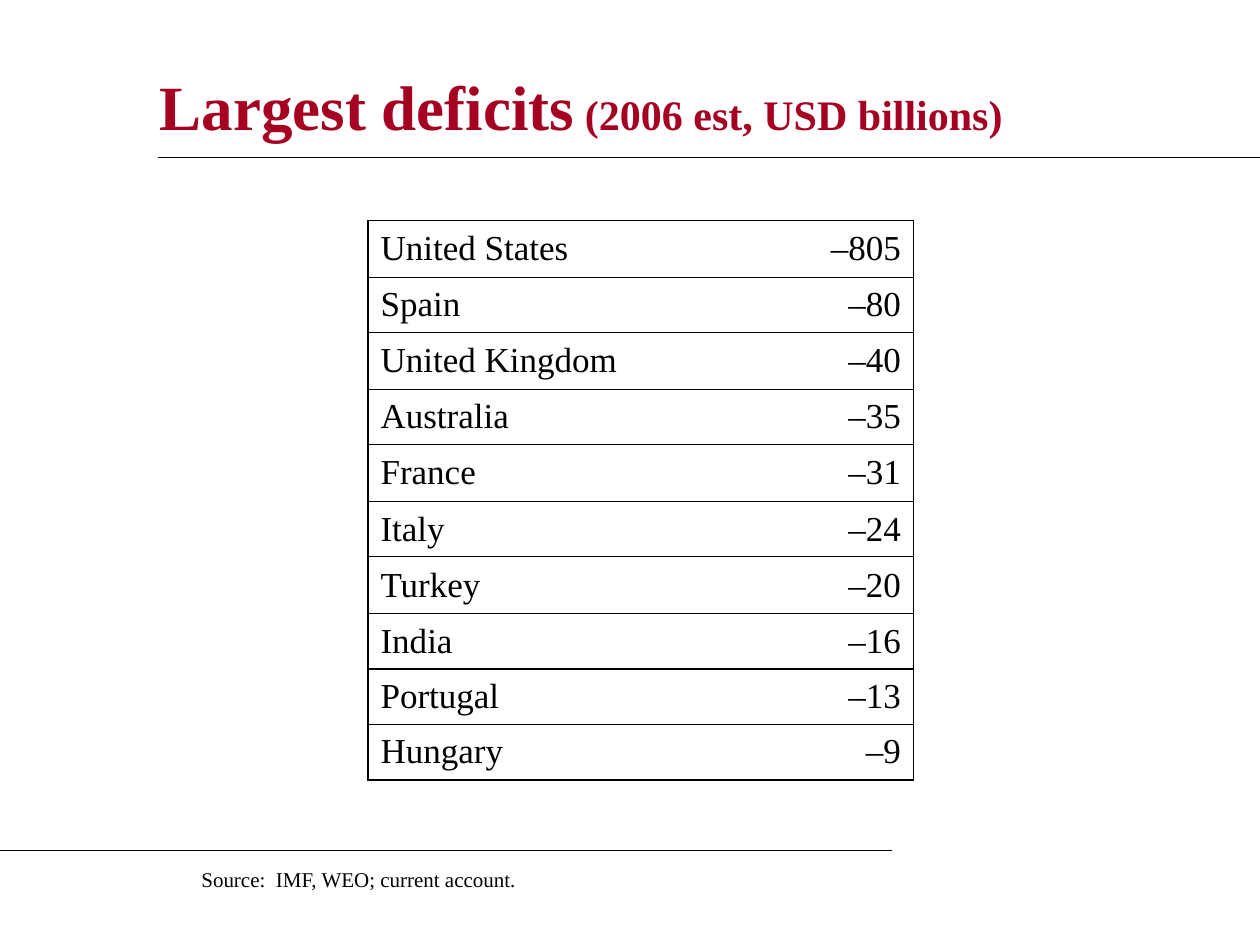
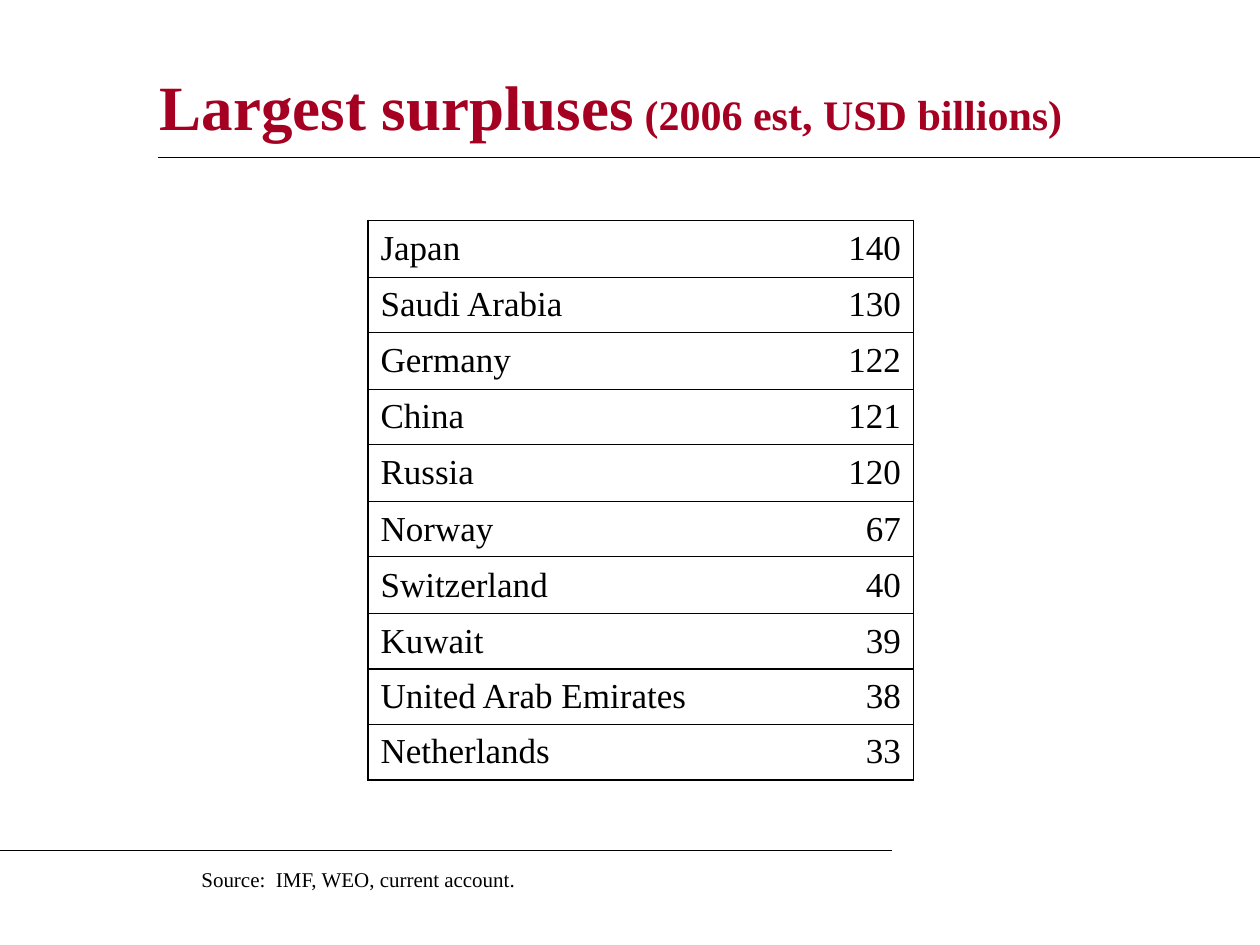
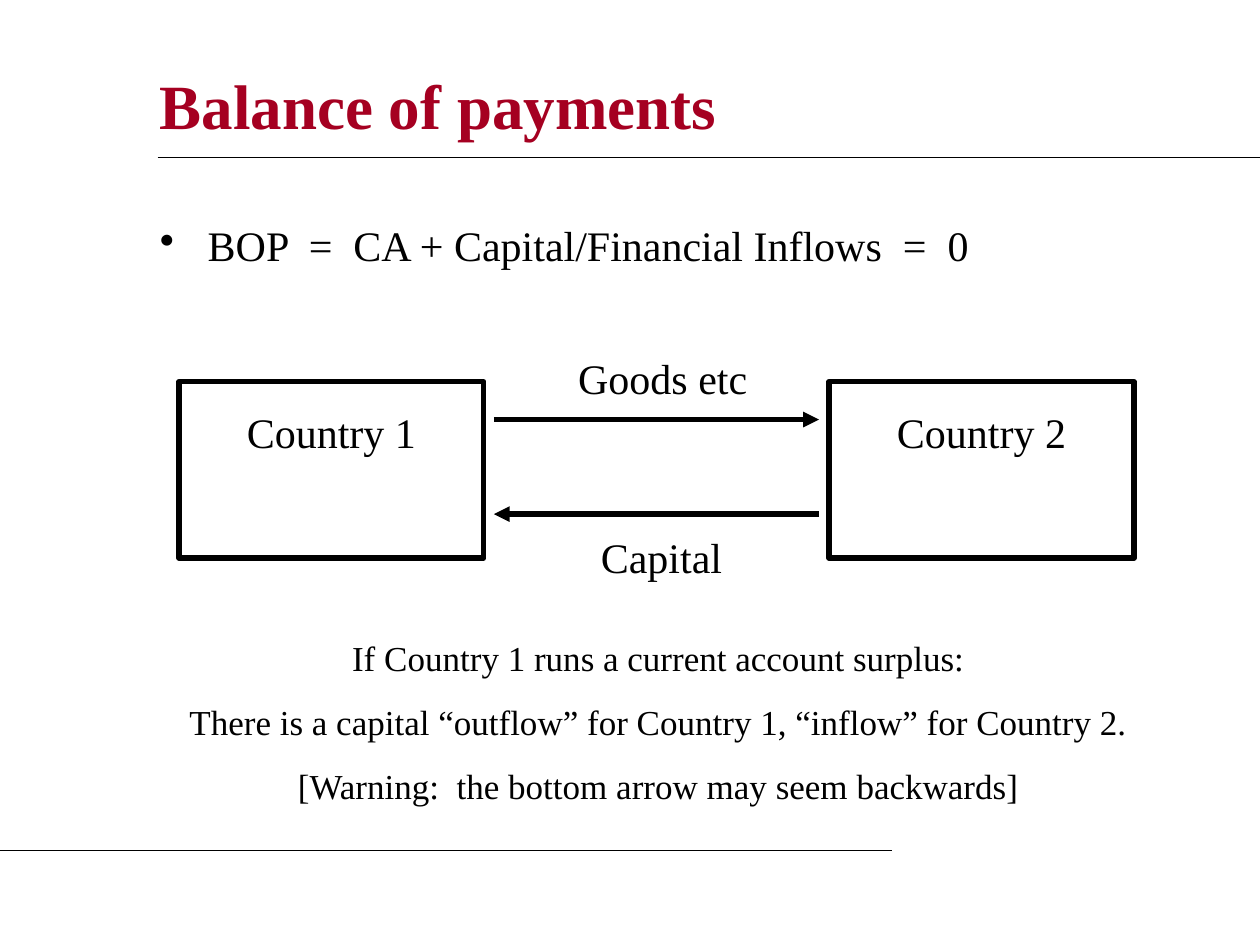
from pptx import Presentation
from pptx.dml.color import RGBColor as Rgb
from pptx.enum.shapes import MSO_CONNECTOR as Conn, MSO_SHAPE as Shape
from pptx.enum.text import MSO_ANCHOR as Anchor, PP_ALIGN as Align
from pptx.oxml.ns import qn
from pptx.util import Inches, Pt
from lxml.etree import SubElement as Sub

INK = {"title": "A50021", "text": "000000"}
FONT = "Times New Roman"
UNIT = " (2006 est, USD billions)"
DEBTS = [
    ("United States", "–805"), ("Spain", "–80"), ("United Kingdom", "–40"),
    ("Australia", "–35"), ("France", "–31"), ("Italy", "–24"),
    ("Turkey", "–20"), ("India", "–16"), ("Portugal", "–13"), ("Hungary", "–9"),
]
GAINS = [
    ("Japan", "140"), ("Saudi Arabia", "130"), ("Germany", "122"),
    ("China", "121"), ("Russia", "120"), ("Norway", "67"),
    ("Switzerland", "40"), ("Kuwait", "39"), ("United Arab Emirates", "38"),
    ("Netherlands", "33"),
]


def add_run(para, text, size, ink="text", bold=False):
    run = para.add_run()
    run.text = text
    font = run.font
    font.name, font.size, font.bold = FONT, Pt(size), bold
    font.color.rgb = Rgb.from_string(INK[ink])


def add_text(slide, box, lines, size, align=Align.LEFT, gap=0):
    frame = slide.shapes.add_textbox(*map(Inches, box)).text_frame
    frame.word_wrap = True
    for i, line in enumerate(lines):
        para = frame.add_paragraph() if i else frame.paragraphs[0]
        para.alignment = align
        if i:
            para.space_before = Pt(gap)
        add_run(para, line, size)
    return frame


def add_title(slide, box, *parts):
    frame = add_text(slide, box, [], 36)
    frame.vertical_anchor = Anchor.MIDDLE
    for text, size in parts:
        add_run(frame.paragraphs[0], text, size, "title", True)


def add_line(slide, start, end, width=0.75, arrow=False):
    line = slide.shapes.add_connector(Conn.STRAIGHT, *map(Inches, start + end))
    line.line.width = Pt(width)
    line.line.color.rgb = Rgb.from_string(INK["text"])
    props = line.line._get_or_add_ln()
    if arrow:
        Sub(props, qn("a:tailEnd"), type="triangle")
    Sub(props.getparent(), qn("a:effectLst"))


def add_slide(deck):
    slide = deck.slides.add_slide(deck.slide_layouts[6])
    add_line(slide, (1.25, 1.25), (10, 1.25))
    add_line(slide, (0, 6.75), (7.08, 6.75))
    return slide


def add_edge(cell, side, width):
    props = cell._tc.get_or_add_tcPr()
    edge = Sub(props, qn("a:ln" + side), w=str(Pt(width)))
    if width:
        fill = Sub(edge, qn("a:solidFill"))
        Sub(fill, qn("a:srgbClr"), val=INK["text"])
    else:
        Sub(edge, qn("a:noFill"))


def add_grid(slide, rows):
    last = len(rows) - 1
    box = map(Inches, (2.92, 1.75, 4.33, 4.43))
    grid = slide.shapes.add_table(len(rows), 2, *box).table
    grid.first_row = grid.horz_banding = False
    for col, width in zip(grid.columns, (3.08, 1.25)):
        col.width = Inches(width)
    for r, row in enumerate(rows):
        grid.rows[r].height = Inches(0.45 if r in (0, 2, 4, 6) else 0.44)
        for c, text in enumerate(row):
            cell = grid.cell(r, c)
            add_edge(cell, "L", 0 if c else 1.08)
            add_edge(cell, "R", 1.08 if c else 0)
            add_edge(cell, "T", 0.75 if r else 1.08)
            add_edge(cell, "B", 0.75 if r < last else 1.08)
            cell.fill.background()
            cell.vertical_anchor = Anchor.MIDDLE
            para = cell.text_frame.paragraphs[0]
            para.alignment = Align.RIGHT if c else Align.LEFT
            add_run(para, text, 20)


def add_rank(deck, title, rows, source):
    slide = add_slide(deck)
    add_title(slide, (1.17, 0.25, 8.5, 1.17), (title, 36), (UNIT, 24))
    add_grid(slide, rows)
    add_text(slide, (1.5, 6.83, 3.58, 0.3), [source], 12)


def add_land(slide, left, name):
    box = map(Inches, (left, 3.03, 2.42, 1.4))
    land = slide.shapes.add_shape(Shape.RECTANGLE, *box)
    land.shadow.inherit = False
    land.fill.background()
    land.line.width = Pt(3)
    land.line.color.rgb = Rgb.from_string(INK["text"])
    frame = land.text_frame
    frame.vertical_anchor = Anchor.TOP
    frame.margin_top = Inches(0.2)
    para = frame.paragraphs[0]
    para.alignment = Align.CENTER
    add_run(para, name, 24)


def add_point(slide, box, text):
    para = add_text(slide, box, [text], 24).paragraphs[0]
    para.line_spacing = 0.9
    props = para._p.get_or_add_pPr()
    props.set("marL", str(Inches(0.38)))
    props.set("indent", str(Inches(-0.38)))
    Sub(props, qn("a:buChar"), char="•")


def add_flows(deck):
    slide = add_slide(deck)
    add_title(slide, (1.17, 0.33, 8.83, 1), ("Balance of payments", 36))
    add_land(slide, 1.42, "Country 1")
    add_land(slide, 6.58, "Country 2")
    add_line(slide, (3.92, 3.33), (6.5, 3.33), 3, True)
    add_line(slide, (6.5, 4.08), (3.92, 4.08), 3, True)
    add_text(slide, (4.67, 4.17, 1.25, 0.5), ["Capital"], 24)
    add_text(slide, (4.49, 2.75, 1.67, 0.5), ["Goods etc"], 24)
    notes = add_text(slide, (1.35, 5, 7.75, 1.45), [
        "If Country 1 runs a current account surplus:",
        "There is a capital “outflow” for Country 1, “inflow” for Country 2.",
        "[Warning:  the bottom arrow may seem backwards]",
    ], 20, Align.CENTER, 12.5)
    first = notes.paragraphs[0]._p.get_or_add_pPr()
    first.set("indent", str(Inches(-0.28)))
    add_point(slide, (1.17, 1.74, 7.92, 0.59),
              "BOP  =  CA + Capital/Financial Inflows  =  0")


def main():
    deck = Presentation()
    deck.slide_width, deck.slide_height = Inches(10), Inches(7.5)
    add_rank(deck, "Largest deficits", DEBTS,
             "Source:  IMF, WEO; current account.")
    add_rank(deck, "Largest surpluses", GAINS,
             "Source:  IMF, WEO, current account.")
    add_flows(deck)
    deck.save("out.pptx")


if __name__ == "__main__":
    main()
